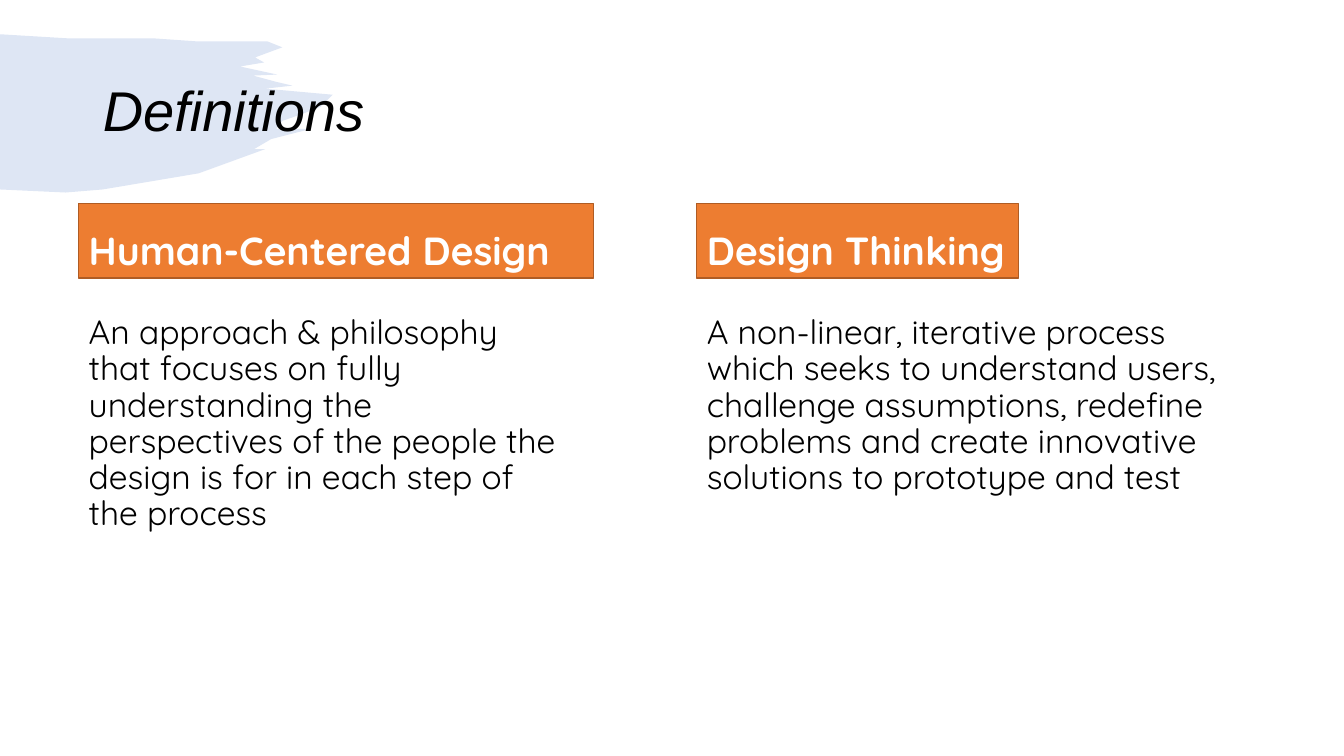
from lxml.etree import SubElement
from pptx import Presentation
from pptx.dml.color import RGBColor
from pptx.enum.text import MSO_ANCHOR, MSO_AUTO_SIZE, PP_ALIGN
from pptx.oxml.ns import qn
from pptx.util import Inches, Pt

BRUSH = [
    (0, 0.34), (0.66, 0.38), (1.51, 0.38), (1.94, 0.41), (2.65, 0.41),
    (2.8, 0.47), (2.53, 0.57), (2.62, 0.62), (2.38, 0.66), (2.75, 0.74),
    (2.51, 0.75), (2.73, 0.81), (2.9, 0.85), (2.63, 0.88), (3.3, 0.94),
    (3.18, 1.06), (3, 1.13), (2.8, 1.2), (2.74, 1.28), (3.08, 1.28),
    (2.69, 1.38), (2.52, 1.48), (2.63, 1.48), (1.97, 1.72), (1.02, 1.88),
    (0.65, 1.91), (0, 1.88),
]


def tint(code):
    """Turn a hex string into a colour."""
    return RGBColor.from_string(code)


def assign(item, values):
    """Set each named value on an item."""
    for name, value in values.items():
        setattr(item, name, value)


class Deck:
    """Hold the style and the current slide."""

    TITLE = {"size": Pt(40), "name": "Arial", "italic": True, "bold": False}
    HEAD = {"size": Pt(28), "name": "Quicksand", "bold": True}
    BODY = {"size": Pt(24), "name": "Quicksand", "bold": False}

    def __init__(self):
        """Open a wide deck with a comparison slide."""
        self.show = Presentation()
        assign(self.show, {"slide_width": Inches(13.33), "slide_height": Inches(7.5)})
        self.slide = self.show.slides.add_slide(self.show.slide_layouts[4])

    def brush(self, points):
        """Draw the pale brush stroke behind the text."""
        first, *rest = [tuple(map(Inches, point)) for point in points]
        pen = self.slide.shapes.build_freeform(*first)
        pen.add_line_segments(rest)
        stroke = pen.convert_to_shape()
        stroke.shadow.inherit = False
        stroke.fill.solid()
        stroke.fill.fore_color.rgb = tint("5A82CB")
        color = stroke.element.spPr.find(qn("a:solidFill"))[0]
        SubElement(color, qn("a:alpha"), val="20000")
        stroke.line.fill.background()
        stroke.element.getparent().insert(2, stroke.element)

    def text(self, slot, words, box, font, ink, anchor, spacing, before):
        """Place and format a text placeholder."""
        holder = self.slide.placeholders[slot]
        assign(holder, dict(zip(("left", "top", "width", "height"), map(Inches, box))))
        frame = holder.text_frame
        frame.text = words
        assign(frame, {"word_wrap": True, "auto_size": MSO_AUTO_SIZE.NONE,
                       "vertical_anchor": anchor})
        para = frame.paragraphs[0]
        assign(para, {"alignment": PP_ALIGN.LEFT, "line_spacing": spacing,
                      "space_before": Pt(before)})
        run = para.runs[0]
        assign(run.font, font)
        run.font.color.rgb = tint(ink)
        return holder

    def title(self, words):
        """Write the slide title."""
        self.text(0, words, (0.92, 0.4, 11.5, 1.45), self.TITLE, "000000",
                  MSO_ANCHOR.MIDDLE, 0.9, 0)

    def panel(self, holder, fill, edge):
        """Paint a placeholder and clear its bullet."""
        holder.fill.solid()
        holder.fill.fore_color.rgb = tint(fill)
        holder.line.color.rgb = tint(edge)
        holder.line.width = Pt(1)
        props = holder.text_frame.paragraphs[0]._p.get_or_add_pPr()
        props.set("marL", "0")
        props.set("indent", "0")
        SubElement(props, qn("a:buNone"))

    def column(self, slot, left, head, wide, body, span):
        """Add a heading with its definition below."""
        label = self.text(slot, head, (left, 2.02, wide, 0.74), self.HEAD,
                          "FFFFFF", MSO_ANCHOR.BOTTOM, 1.0, 10)
        self.panel(label, "ED7D31", "AF5C24")
        block = self.text(slot + 1, body, (left, 3.08, span, 2.41), self.BODY,
                          "000000", MSO_ANCHOR.TOP, 0.9, 10)
        self.panel(block, "FFFFFF", "FFFFFF")


def main():
    """Build and save the slide."""
    deck = Deck()
    deck.brush(BRUSH)
    deck.title("Definitions")
    deck.column(1, 0.78, "Human-Centered Design", 5.11,
                "An approach & philosophy that focuses on fully understanding "
                "the perspectives of the people the design is for in each step "
                "of the process", 4.89)
    deck.column(3, 6.91, "Design Thinking", 3.19,
                "A non-linear, iterative process which seeks to understand users, "
                "challenge assumptions, redefine problems and create innovative "
                "solutions to prototype and test", 5.31)
    deck.show.save("out.pptx")


if __name__ == "__main__":
    main()
